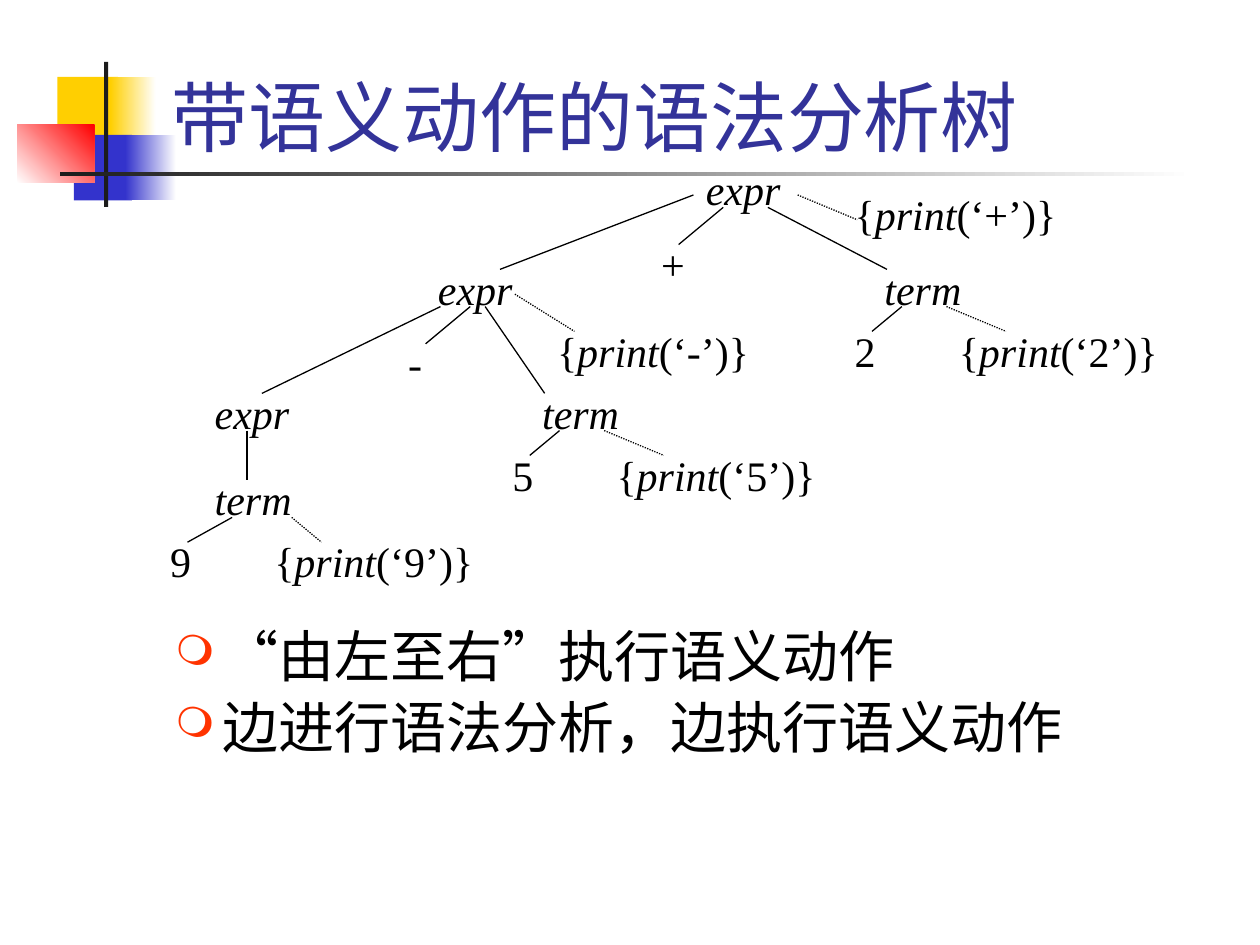
from dataclasses import dataclass

from lxml.etree import SubElement
from pptx import Presentation
from pptx.dml.color import RGBColor
from pptx.enum.dml import MSO_LINE
from pptx.enum.lang import MSO_LANGUAGE_ID
from pptx.enum.shapes import MSO_CONNECTOR, MSO_SHAPE
from pptx.enum.text import MSO_ANCHOR, MSO_AUTO_SIZE
from pptx.oxml import parse_xml
from pptx.oxml.ns import nsdecls, qn
from pptx.util import Cm, Pt


@dataclass(frozen=True)
class Theme:
    font: str = "Times New Roman"
    title: str = "333399"
    text: str = "000000"
    bullet: str = "FF3300"
    yellow: str = "FFCF01"
    blue: str = "3333CC"
    red: str = "FF0000"
    dark: str = "1C1C1C"
    white: str = "FFFFFF"
    title_size: int = 44
    body_size: int = 32
    node_size: int = 24
    line: float = 0.75


T = Theme()

BARS = [
    (0.81, 0.3, 1.22, 1.32, (T.yellow,), 0),
    (1.88, 0.3, 0.91, 1.32, (T.yellow, T.white), 0),
    (1.14, 1.47, 1.17, 1.32, (T.blue,), 0),
    (2.18, 1.47, 1.02, 1.32, (T.blue, T.white), 0),
    (0, 1.27, 1.55, 1.17, (T.white, T.red), 45),
    (1.75, 0, 0.08, 2.92, (T.dark,), 0),
    (0.86, 2.21, 22.86, 0.08, (T.dark, T.white), 0),
]

SYMBOLS = [
    ("term", 3, 25), ("term", 48, 8), ("term", 25, 18),
    ("expr", 3, 18), ("expr", 18, 8), ("expr", 36, 0),
]
TOKENS = [("9", 0, 30), ("5", 23, 23), ("2", 46, 13), ("-", 16, 14), ("+", 33, 6)]
ACTIONS = [("-", 26, 13), ("9", 7, 30), ("5", 30, 23), ("2", 53, 13), ("+", 46, 2)]
BRANCHES = [
    (5, 29, 2, 31), (21, 12, 18, 15), (6, 22, 6, 26), (19, 12, 7, 19),
    (22, 12, 26, 19), (27, 22, 25, 24), (50, 12, 48, 14), (38, 4, 35, 7),
    (41, 4, 49, 9), (36, 3, 23, 9),
]
ACTION_LINKS = [
    (30, 22, 34, 24), (9, 29, 11, 31), (24, 11, 28, 14),
    (53, 12, 57, 14), (43, 3, 47, 5),
]


def rgb(value):
    return RGBColor.from_string(value)


def style(r, size, color, italic=False):
    f = r.font
    f.name, f.size, f.italic = T.font, Pt(size), italic
    f.color.rgb = rgb(color)


def add_text(s, x, y, w, h):
    tf = s.shapes.add_textbox(Cm(x), Cm(y), Cm(w), Cm(h)).text_frame
    tf.word_wrap = True
    return tf


def add_decoration(s, left, top):
    for x, y, w, h, colors, angle in BARS:
        sp = s.shapes.add_shape(
            MSO_SHAPE.RECTANGLE, Cm(left + x), Cm(top + y), Cm(w), Cm(h))
        sp.shadow.inherit = False
        sp.line.fill.background()
        if len(colors) == 1:
            sp.fill.solid()
            sp.fill.fore_color.rgb = rgb(colors[0])
            continue
        sp.fill.gradient()
        sp.fill.gradient_angle = angle
        for pos, (stop, color) in enumerate(zip(sp.fill.gradient_stops, colors)):
            stop.position = pos
            stop.color.rgb = rgb(color)


def add_title(s, x, y, w, h, text):
    tf = add_text(s, x, y, w, h)
    tf.vertical_anchor = MSO_ANCHOR.BOTTOM
    tf.text = text
    r = tf.paragraphs[0].runs[0]
    style(r, T.title_size, T.title)
    r.font.language_id = MSO_LANGUAGE_ID.SIMPLIFIED_CHINESE


def add_bullets(s, x, y, w, h, lines):
    tf = add_text(s, x, y, w, h)
    tf.text = "\n".join(lines)
    for p in tf.paragraphs:
        p.line_spacing = 0.9
        pPr = p._p.get_or_add_pPr()
        pPr.set("marL", str(Cm(0.95)))
        pPr.set("indent", str(Cm(-0.95)))
        for xml in (
            '<a:spcBef {}><a:spcPct val="20000"/></a:spcBef>',
            '<a:buClr {}><a:srgbClr val="' + T.bullet + '"/></a:buClr>',
            '<a:buSzPct {} val="75000"/>',
            '<a:buChar {} char="❍"/>',
        ):
            pPr.append(parse_xml(xml.format(nsdecls("a"))))
        r = p.runs[0]
        style(r, T.body_size, T.text)
        r.font.language_id = MSO_LANGUAGE_ID.SIMPLIFIED_CHINESE


def add_tree(s, left, top, col, row):
    def add_node(x, y, cols, parts):
        tf = add_text(s, left + x * col, top + y * row, cols * col, 5 * row)
        tf.auto_size = MSO_AUTO_SIZE.SHAPE_TO_FIT_TEXT
        for text, italic in parts:
            r = tf.paragraphs[0].add_run()
            r.text = text
            style(r, T.node_size, T.text, italic)

    def add_edge(x1, y1, x2, y2, dash):
        c = s.shapes.add_connector(
            MSO_CONNECTOR.STRAIGHT,
            Cm(left + x1 * col), Cm(top + y1 * row),
            Cm(left + x2 * col), Cm(top + y2 * row))
        c.line.width = Pt(T.line)
        c.line.color.rgb = rgb(T.text)
        c.line.dash_style = dash
        SubElement(c._element.spPr, qn("a:effectLst"))

    for name, x, y in SYMBOLS:
        add_node(x, y, 13, [(name, True)])
    for token, x, y in TOKENS:
        add_node(x, y, 6, [(token, False)])
    for token, x, y in ACTIONS:
        add_node(x, y, 16, [("{", False), ("print", True), (f"(‘{token}’)}}", False)])
    for edges, dash in ((BRANCHES, MSO_LINE.SOLID), (ACTION_LINKS, MSO_LINE.ROUND_DOT)):
        for edge in edges:
            add_edge(*edge, dash)


def main():
    prs = Presentation()
    prs.slide_width, prs.slide_height = Cm(25.4), Cm(19.05)
    s = prs.slides.add_slide(prs.slide_layouts[6])
    add_decoration(s, 0.35, 1.25)
    add_title(s, 3.2, 0.2, 21.64, 3.18, "带语义动作的语法分析树")
    add_bullets(s, 3.28, 12.55, 21.6, 3.18,
                ["“由左至右”执行语义动作", "边进行语法分析，边执行语义动作"])
    add_tree(s, 3.18, 3.18, 0.3, 0.25)
    prs.save("out.pptx")


if __name__ == "__main__":
    main()
